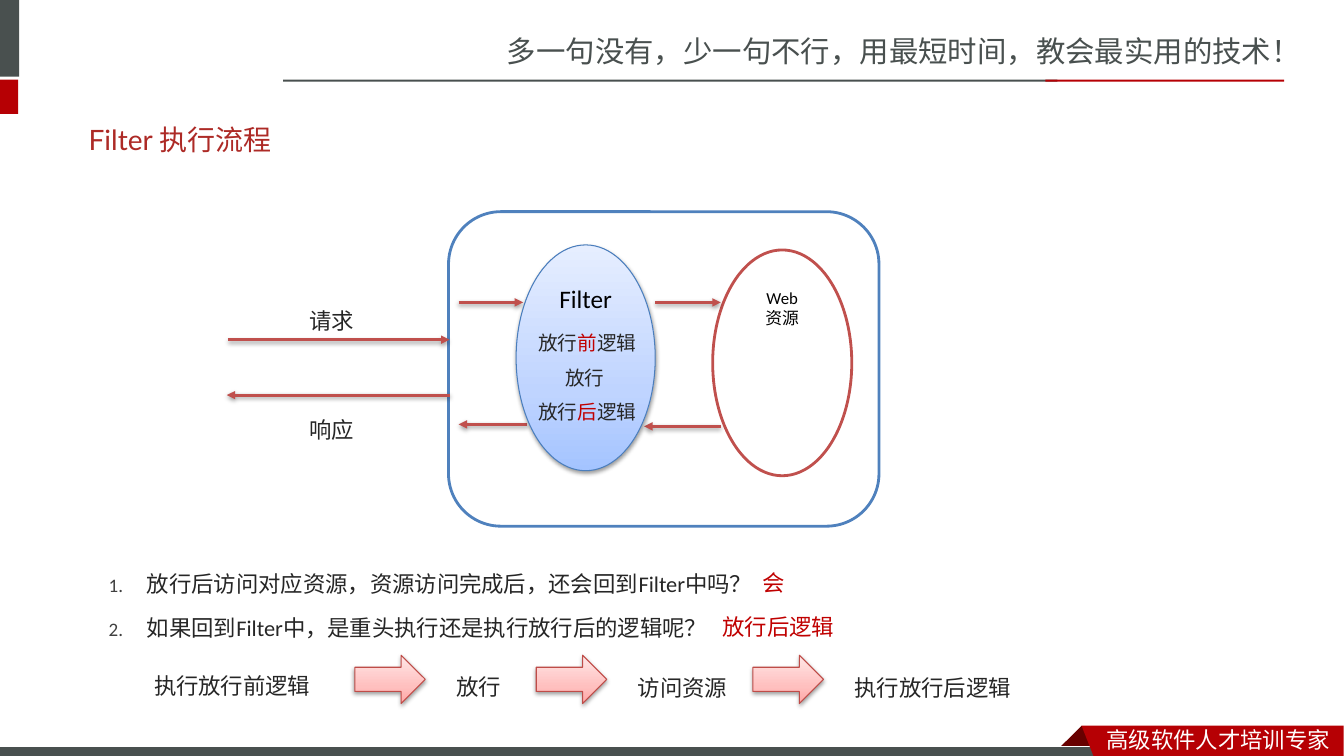
"""Builds the slide on how a Filter runs, on a grid of tenths of an inch."""
from copy import deepcopy

from lxml import etree
from pptx import Presentation
from pptx import util as u
from pptx.dml.color import RGBColor
from pptx.enum import shapes, text
from pptx.oxml.ns import qn

GREY = RGBColor(0x49, 0x50, 0x4F)
RED = RGBColor(0xB6, 0x00, 0x04)
DARK = RGBColor(0x68, 0x00, 0x00)
WHITE = RGBColor(0xFF, 0xFF, 0xFF)
BLACK = RGBColor(0x00, 0x00, 0x00)
INK = RGBColor(0x26, 0x26, 0x26)
MARK = RGBColor(0xC0, 0x00, 0x00)
HEAD = RGBColor(0xAD, 0x2A, 0x26)
BLUE = RGBColor(0x4F, 0x81, 0xBD)
ROSE = RGBColor(0xC0, 0x50, 0x4D)
EDGE = RGBColor(0x4B, 0x7E, 0xBC)
RIM = RGBColor(0xBF, 0x4C, 0x48)
SKY = (RGBColor(0xA4, 0xC4, 0xFF), RGBColor(0xBF, 0xD4, 0xFF), RGBColor(0xE6, 0xEE, 0xFF))
PINK = (RGBColor(0xFF, 0xA6, 0xA5), RGBColor(0xFF, 0xC0, 0xBF), RGBColor(0xFF, 0xE7, 0xE7))
SANS = "Noto Sans CJK SC"
KIND = shapes.MSO_SHAPE
LEFT, MID = text.PP_ALIGN.LEFT, text.PP_ALIGN.CENTER


def cell(n):
    """Turn grid steps into a length."""
    return u.Inches(n / 10)


def child(node, tag, **attrs):
    """Add a drawing element to a node."""
    return etree.SubElement(node, qn("a:" + tag), attrs)


class Board:
    """Holds the style and the current slide."""

    def __init__(self, deck, font="Calibri"):
        self.font = font
        self.page = deck.slides.add_slide(deck.slide_layouts[5])
        self.items = self.page.shapes

    def words(self, frame, lines, size, color=INK, font=None, align=LEFT, lead=None):
        """Fill a frame; parts between bars are marked red."""
        frame.word_wrap = True
        for i, line in enumerate(lines):
            para = frame.add_paragraph() if i else frame.paragraphs[0]
            para.alignment = align
            if lead:
                para.line_spacing = lead
                if i:
                    para.space_before = u.Pt(size * 0.2)
            for j, part in enumerate(line.split("|")):
                if not part:
                    continue
                run = para.add_run()
                run.text = part
                run.font.size = u.Pt(size)
                run.font.name = font or self.font
                run.font.color.rgb = MARK if j % 2 else color
                child(run._r.get_or_add_rPr(), "ea", typeface=font or self.font)

    def title(self, box, line):
        """Place and format the title."""
        head = self.items.title
        head.left, head.top, head.width, head.height = map(cell, box)
        head.text_frame.vertical_anchor = text.MSO_ANCHOR.MIDDLE
        self.words(head.text_frame, [line], 20, HEAD, "Lato")

    def label(self, box, *lines, size=16, lead=1.5, **style):
        """Add a text box."""
        item = self.items.add_textbox(*map(cell, box))
        self.words(item.text_frame, lines, size, lead=lead, **style)
        return item

    def points(self, box, *lines):
        """Add a numbered list."""
        for para in self.label(box, *lines).text_frame.paragraphs:
            props = para._p.get_or_add_pPr()
            props.set("marL", str(u.Inches(0.38)))
            props.set("indent", str(-u.Inches(0.38)))
            child(child(props, "buClr"), "srgbClr", val="404040")
            child(props, "buSzPct", val="85000")
            child(props, "buAutoNum", type="arabicPeriod")

    def paint(self, item, fill, line=None, width=0.75):
        """Set a shape's fill and line; three colours make a shaded ramp."""
        if isinstance(fill, RGBColor):
            item.fill.solid()
            item.fill.fore_color.rgb = fill
        else:
            item.fill.gradient()
            item.fill.gradient_angle = 90
            ramp = item._element.spPr.find(".//" + qn("a:gsLst"))
            ramp.insert(1, deepcopy(ramp[0]))
            for stop, at, color in zip(item.fill.gradient_stops, (0, 0.35, 1), fill):
                stop.position = at
                stop.color.rgb = color
        if line is None:
            item.line.fill.background()
        else:
            item.line.color.rgb = line
            item.line.width = u.Pt(width)
        item.shadow.inherit = False
        if not isinstance(fill, RGBColor):
            self.shade(item._element.spPr.find(qn("a:effectLst")))

    def shade(self, node):
        """Add a soft drop shadow to an effect list."""
        cast = child(node, "outerShdw", blurRad="40000", dist="20000",
                     dir="5400000", rotWithShape="0")
        child(child(cast, "srgbClr", val="000000"), "alpha", val="38000")

    def shape(self, kind, box, fill, line=None, width=0.75):
        """Add a preset shape."""
        item = self.items.add_shape(kind, *map(cell, box))
        self.paint(item, fill, line, width)
        return item

    def form(self, dots, fill):
        """Add a closed outline."""
        dots = [tuple(map(cell, dot)) for dot in dots]
        pen = self.items.build_freeform(*dots[0])
        pen.add_line_segments(dots[1:], close=True)
        self.paint(pen.convert_to_shape(), fill)

    def arrow(self, start, end, row):
        """Add a level arrow along a row."""
        item = self.items.add_connector(shapes.MSO_CONNECTOR.STRAIGHT,
                                        *map(cell, (start, row, end, row)))
        item.line.color.rgb = ROSE
        item.line.width = u.Pt(2)
        props = item._element.spPr
        child(props.find(qn("a:ln")), "tailEnd", type="triangle")
        self.shade(child(props, "effectLst"))


def frame(board):
    """Draw the header and footer bands."""
    board.label((49.3, 2.8, 84.1, 4.7), "多一句没有，少一句不行，用最短时间，教会最实用的技术！",
                size=21, lead=None, color=GREY, font=SANS)
    for box, fill in (((-0.6, 0, 2.5, 7.6), GREY), ((-0.6, 7.9, 2.4, 3.4), RED),
                      ((28.1, 7.9, 76.8, 0.2), GREY), ((103.7, 7.9, 23.7, 0.2), RED)):
        board.shape(KIND.RECTANGLE, box, fill)
    board.form([(107.3, 72), (109.5, 74.2), (109.4, 74.3), (105.2, 74.3), (105.1, 74.2)], DARK)
    board.shape(KIND.RECTANGLE, (-0.1, 74.1, 110, 1.2), GREY, WHITE)
    board.form([(107.3, 72), (133.3, 72), (133.3, 75.4), (108.6, 75.3)], RED)
    board.label((108.8, 71.5, 24.5, 3.7), "高级软件人才培训专家",
                lead=None, color=WHITE, font=SANS)


def chart(board):
    """Draw the request passing through the filter."""
    board.shape(KIND.ROUNDED_RECTANGLE, (44.5, 21, 42.7, 31.2), WHITE, BLUE, 2)
    web = board.shape(KIND.OVAL, (70.7, 24.8, 13.8, 22.4), WHITE, ROSE, 2)
    for start, end, row in ((22.6, 44.6, 33.7), (44.6, 22.5, 39.2), (45.5, 51.9, 30),
                            (52.3, 45.5, 42.1), (65, 71.5, 30), (71.5, 63.9, 42.3)):
        board.arrow(start, end, row)
    gate = board.shape(KIND.OVAL, (51.2, 24.3, 13.8, 22.4), SKY, EDGE)
    for item, lines, size in ((web, ["Web", "资源"], 12), (gate, ["Filter"], 18)):
        item.text_frame.vertical_anchor = text.MSO_ANCHOR.TOP
        board.words(item.text_frame, lines, size, BLACK, align=MID)
    for row, line in ((28.6, "请求"), (39.5, "响应")):
        board.label((29.7, row, 7, 4.8), line, font="Noto Sans CJK JP")
    for i, (col, line) in enumerate(((52.4, "放行|前|逻辑"), (55.1, "放行"), (52.4, "放行|后|逻辑"))):
        board.label((col, 31.2 + 3.4 * i, 14, 4.7), line, size=14)


def notes(board):
    """Add the questions, answers and steps."""
    board.points((9.8, 54.7, 95.3, 10.7), "放行后访问对应资源，资源访问完成后，还会回到Filter中吗？",
                 "如果回到Filter中，是重头执行还是执行放行后的逻辑呢？")
    board.label((74.7, 54.6, 5, 4.7), "|会")
    board.label((70.7, 59, 13.8, 4.7), "|放行后逻辑")
    steps = ((14.3, 64.9, 18.6, "执行放行前逻辑"), (44.3, 65, 7, "放行"),
             (62.3, 65.1, 11.5, "访问资源"), (83.8, 65.1, 18.5, "执行放行后逻辑"))
    for i, (col, row, wide, line) in enumerate(steps):
        if i:
            board.shape(KIND.RIGHT_ARROW, (col - 9.1, 65, 7, 4.8), PINK, RIM)
        board.label((col, row, wide, 4.7), line)


def main():
    """Build and save the deck."""
    deck = Presentation()
    deck.slide_width, deck.slide_height = cell(133.33), cell(75)
    board = Board(deck)
    frame(board)
    board.title((7.8, 11, 117.6, 5.7), "Filter 执行流程")
    chart(board)
    notes(board)
    deck.save("out.pptx")


if __name__ == "__main__":
    main()
